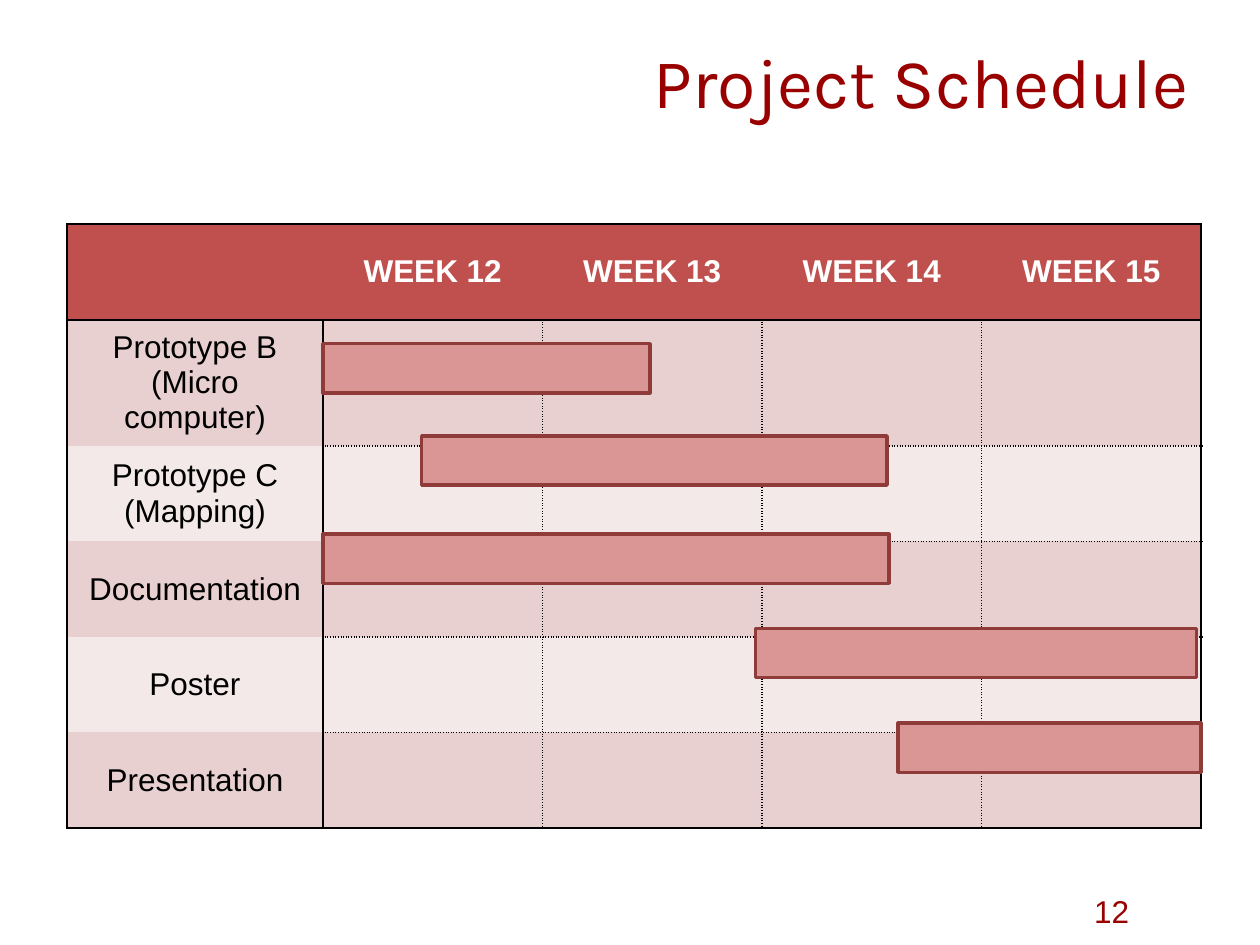
from dataclasses import dataclass

from lxml import etree
from pptx import Presentation
from pptx.dml.color import RGBColor
from pptx.enum.shapes import MSO_SHAPE as Shape
from pptx.enum.text import MSO_ANCHOR as Anchor, PP_ALIGN as Align
from pptx.oxml.ns import qn
from pptx.util import Cm, Pt


@dataclass(frozen=True)
class Theme:
    accent: str = "990000"
    header: str = "C0504D"
    bands: tuple = ("E8D0D0", "F4E9E9")
    bar: str = "D99694"
    bar_line: str = "8E3B39"
    ink: str = "000000"
    paper: str = "FFFFFF"
    title_font: str = "Karla"
    body_font: str = "Arial"
    title_size: int = 40
    body_size: int = 18


@dataclass(frozen=True)
class Box:
    left: float
    top: float
    width: float
    height: float

    def lengths(self):
        return Cm(self.left), Cm(self.top), Cm(self.width), Cm(self.height)


THEME = Theme()
WEEKS = ["WEEK 12", "WEEK 13", "WEEK 14", "WEEK 15"]
LABEL_WIDTH = 5.16
BAR_HEIGHT = 0.99
# Row label, bar start and length in weeks, bar top in cm below the table top
TASKS = [
    ("Prototype B\n(Micro computer)", 0, 1.49, 2.41),
    ("Prototype C\n(Mapping)", 0.45, 2.12, 4.27),
    ("Documentation", 0, 2.58, 6.25),
    ("Poster", 1.97, 2.01, 8.15),
    ("Presentation", 2.62, 1.38, 10.06),
]


def style_text(frame, align, font, size, color, bold=False):
    for para in frame.paragraphs:
        para.alignment = align
        para.font.name = font
        para.font.size = Pt(size)
        para.font.bold = bold
        para.font.color.rgb = RGBColor.from_string(color)


def add_text(page, box, text, anchor, font, size):
    frame = page.shapes.add_textbox(*box.lengths()).text_frame
    frame.word_wrap = True
    frame.vertical_anchor = anchor
    frame.text = text
    style_text(frame, Align.RIGHT, font, size, THEME.accent)


def set_border(cell, side, dash):
    """Draw one side (L, R, T or B) with the given dash, or hide it for None."""
    props = cell._tc.get_or_add_tcPr()
    line = etree.Element(qn(f"a:ln{side}"), w=str(Pt(1)))
    if dash is None:
        etree.SubElement(line, qn("a:noFill"))
    else:
        fill = etree.SubElement(line, qn("a:solidFill"))
        etree.SubElement(fill, qn("a:srgbClr"), val=THEME.ink)
        etree.SubElement(line, qn("a:prstDash"), val=dash)
    props.insert("LRTB".index(side), line)


def horizontal_dash(edge, col):
    if edge in (0, 1, len(TASKS) + 1):
        return "solid"
    return "sysDot" if col else None


def vertical_dash(edge, row):
    if edge in (0, len(WEEKS) + 1):
        return "solid"
    if row == 0:
        return None
    return "solid" if edge == 1 else "sysDot"


def add_grid(page, box):
    rows = [["", *WEEKS]] + [[task[0]] + [""] * len(WEEKS) for task in TASKS]
    table = page.shapes.add_table(len(rows), len(rows[0]), *box.lengths()).table
    table.horz_banding = False
    for index, column in enumerate(table.columns):
        column.width = Cm((box.width - LABEL_WIDTH) / len(WEEKS) if index else LABEL_WIDTH)
    for r, texts in enumerate(rows):
        table.rows[r].height = Cm(box.height / len(rows))
        for c, text in enumerate(texts):
            cell = table.cell(r, c)
            cell.text = text
            cell.vertical_anchor = Anchor.MIDDLE
            style_text(cell.text_frame, Align.CENTER, THEME.body_font, THEME.body_size,
                       THEME.ink if r else THEME.paper, bold=r == 0)
            cell.fill.solid()
            color = THEME.bands[(r - 1) % 2] if r else THEME.header
            cell.fill.fore_color.rgb = RGBColor.from_string(color)
            set_border(cell, "L", vertical_dash(c, r))
            set_border(cell, "R", vertical_dash(c + 1, r))
            set_border(cell, "T", horizontal_dash(r, c))
            set_border(cell, "B", horizontal_dash(r + 1, c))


def add_bars(page, box):
    week = (box.width - LABEL_WIDTH) / len(WEEKS)
    for _, start, length, top in TASKS:
        place = Box(box.left + LABEL_WIDTH + start * week, box.top + top,
                    length * week, BAR_HEIGHT)
        bar = page.shapes.add_shape(Shape.RECTANGLE, *place.lengths())
        bar.shadow.inherit = False
        bar.fill.solid()
        bar.fill.fore_color.rgb = RGBColor.from_string(THEME.bar)
        bar.line.color.rgb = RGBColor.from_string(THEME.bar_line)
        bar.line.width = Pt(2)


def add_schedule(page, box):
    add_grid(page, box)
    add_bars(page, box)


def main():
    deck = Presentation()
    deck.slide_width, deck.slide_height = Cm(25.4), Cm(19.05)
    page = deck.slides.add_slide(deck.slide_layouts[6])
    add_text(page, Box(18.29, 17.86, 4.72, 1.02), "12", Anchor.MIDDLE,
             THEME.body_font, THEME.body_size)
    add_text(page, Box(1.98, 0.58, 22.23, 2.01), "Project Schedule", Anchor.BOTTOM,
             THEME.title_font, THEME.title_size)
    add_schedule(page, Box(1.35, 4.52, 22.86, 11.56))
    deck.save("out.pptx")


if __name__ == "__main__":
    main()
